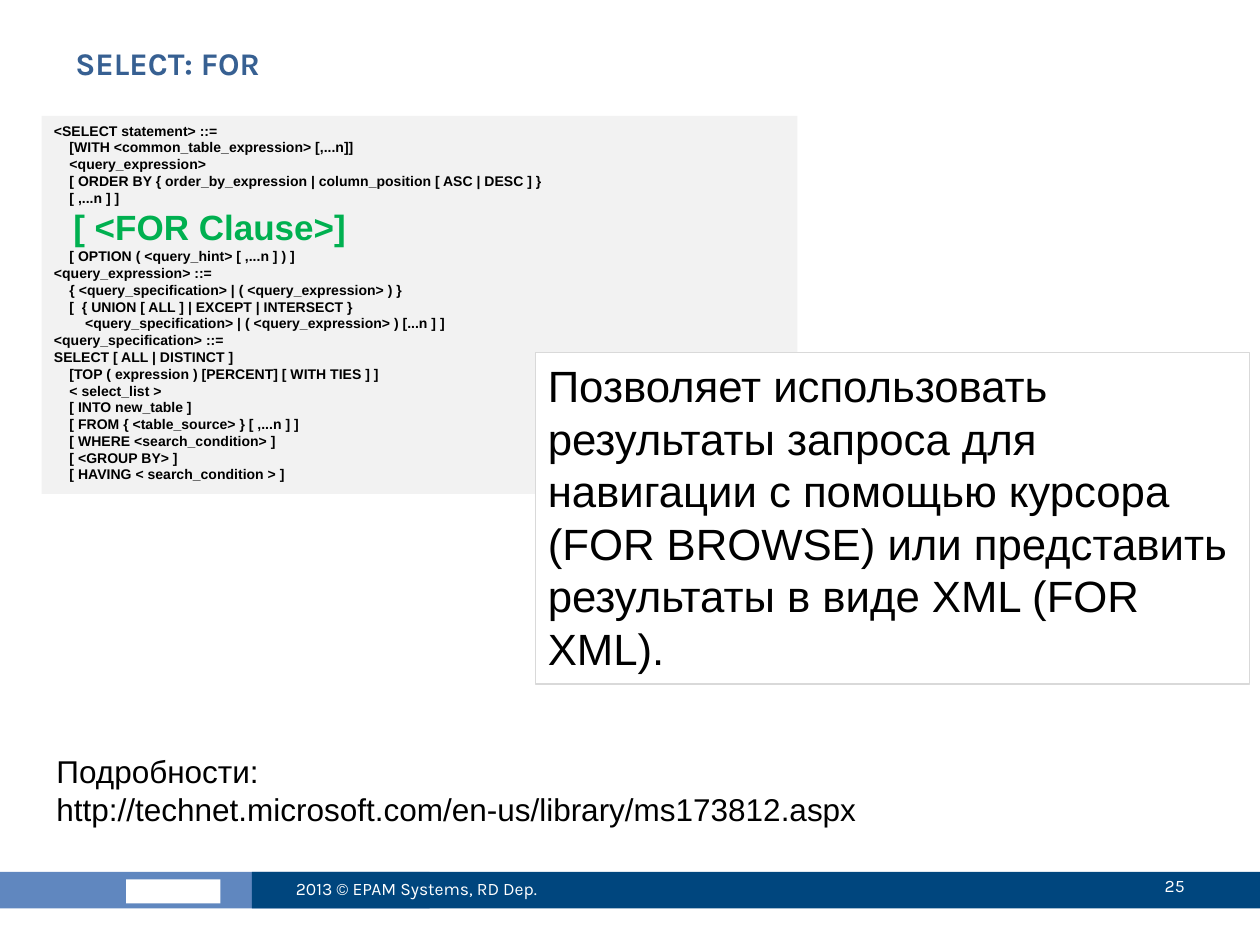
from pptx import Presentation
from pptx.dml.color import RGBColor as Rgb
from pptx.enum.shapes import MSO_SHAPE as Shape
from pptx.enum.text import MSO_ANCHOR as Anchor, PP_ALIGN as Align
from pptx.util import Inches, Pt

WIDE, HIGH = 10, 7.5
CODE = """<SELECT statement> ::=
    [WITH <common_table_expression> [,...n]]
    <query_expression>
    [ ORDER BY { order_by_expression | column_position [ ASC | DESC ] }
    [ ,...n ] ]
  [ <FOR Clause>]
    [ OPTION ( <query_hint> [ ,...n ] ) ]
<query_expression> ::=
    { <query_specification> | ( <query_expression> ) }
    [  { UNION [ ALL ] | EXCEPT | INTERSECT }
        <query_specification> | ( <query_expression> ) [...n ] ]
<query_specification> ::=
SELECT [ ALL | DISTINCT ]
    [TOP ( expression ) [PERCENT] [ WITH TIES ] ]
    < select_list >
    [ INTO new_table ]
    [ FROM { <table_source> } [ ,...n ] ]
    [ WHERE <search_condition> ]
    [ <GROUP BY> ]
    [ HAVING < search_condition > ]""".split("\n")
KEY = "FOR Clause"
NOTE = ["Позволяет использовать результаты запроса для навигации с помощью "
        "курсора (FOR BROWSE) или представить результаты в виде XML (FOR XML)."]
MORE = ["Подробности:",
        "http://technet.microsoft.com/en-us/library/ms173812.aspx"]

BAR, THICK = 6.92, 0.29
BARS = [
    ((-0.02, BAR, 3.43, THICK), "6087BF"),
    ((1, BAR + 0.06, 0.75, 0.19), "FFFFFF"),
    ((WIDE / 5, BAR, WIDE * 4 / 5, THICK), "00467E"),
]
LABELS = [
    ((0.5, 0.3, 9, 0.78), ["SELECT: FOR"], 18, "376092", True, Anchor.TOP, Align.LEFT),
    ((2.25, 6.85, 2.67, 0.4), ["2013 © EPAM Systems, RD Dep."], 10, "FFFFFF", False,
     Anchor.MIDDLE, Align.LEFT),
    ((8.42, 6.83, 1.08, 0.4), ["25"], 10, "FFFFFF", False, Anchor.MIDDLE, Align.RIGHT),
]

deck = Presentation()
deck.slide_width, deck.slide_height = Inches(WIDE), Inches(HIGH)
slide = deck.slides.add_slide(deck.slide_layouts[6])


def tint(code):
    """Turn a hex string into a colour."""
    return Rgb.from_string(code)


def block(at, fill, line=None):
    """Add a flat rectangle."""
    rect = slide.shapes.add_shape(Shape.RECTANGLE, *map(Inches, at))
    rect.shadow.inherit = False
    rect.fill.solid()
    rect.fill.fore_color.rgb = tint(fill)
    if line:
        rect.line.color.rgb = tint(line)
        rect.line.width = Pt(0.75)
    else:
        rect.line.fill.background()
    return rect


def label(at):
    """Add an empty text box."""
    return slide.shapes.add_textbox(*map(Inches, at))


def write(box, lines, size, color="000000", bold=False, anchor=Anchor.TOP,
          align=Align.LEFT, face="Arial"):
    """Fill a shape with one paragraph per line, the key clause enlarged."""
    frame = box.text_frame
    frame.word_wrap = True
    frame.vertical_anchor = anchor
    for i, line in enumerate(lines):
        para = frame.add_paragraph() if i else frame.paragraphs[0]
        para.alignment = align
        run = para.add_run()
        run.text = line
        big = KEY in line
        run.font.name, run.font.bold = face, bold
        run.font.size = Pt(20 if big else size)
        run.font.color.rgb = tint("00B050" if big else color)


for at, fill in BARS:
    block(at, fill)
for at, *rest in LABELS:
    write(label(at), *rest, face="Karla")
write(block((0.33, 0.92, 6, 3), "F2F2F2"), CODE, 8, bold=True)
write(block((4.25, 2.8, 5.67, 2.63), "FFFFFF", "D9D9D9"), NOTE, 25)
write(label((0.35, 5.92, 9.07, 0.71)), MORE, 18)
deck.save("out.pptx")
